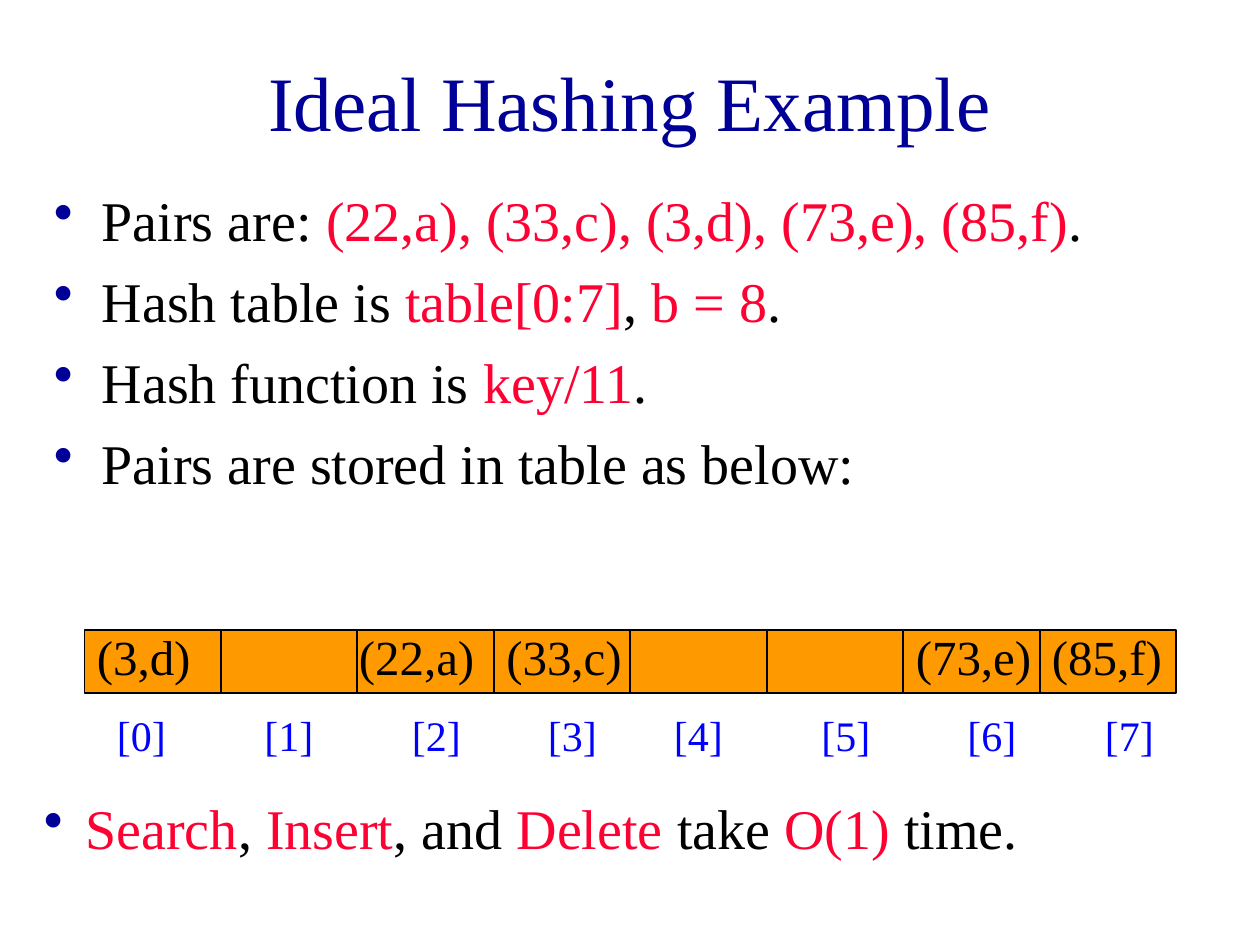
from lxml import etree
from pptx import Presentation
from pptx.dml.color import RGBColor
from pptx.enum import shapes, text
from pptx.oxml import ns
from pptx.util import Inches, Pt

BLACK = RGBColor(0, 0, 0)
NAVY = RGBColor(0x00, 0x00, 0x99)
BLUE = RGBColor(0x00, 0x00, 0xFF)
RED = RGBColor(0xFF, 0x00, 0x33)
ORANGE = RGBColor(0xFF, 0x99, 0x00)
FONT = "Times New Roman"

presentation = Presentation()
presentation.slide_width = Inches(10)
presentation.slide_height = Inches(7.5)
slide = presentation.slides.add_slide(presentation.slide_layouts[6])


def add_bullet(paragraph, indent):
    properties = paragraph._p.get_or_add_pPr()
    properties.set("marL", str(Inches(indent)))
    properties.set("indent", str(-Inches(indent)))
    color = etree.SubElement(properties, ns.qn("a:buClr"))
    etree.SubElement(color, ns.qn("a:srgbClr"), val=str(NAVY))
    etree.SubElement(properties, ns.qn("a:buChar"), char="•")


def add_text(paragraphs, left, top, width, height, size, color=BLACK,
             align=text.PP_ALIGN.LEFT, anchor=text.MSO_ANCHOR.TOP,
             indent=None, gap=0):
    """Each paragraph is a string; parts between | marks are red."""
    box = slide.shapes.add_textbox(
        Inches(left), Inches(top), Inches(width), Inches(height))
    frame = box.text_frame
    frame.word_wrap = True
    frame.vertical_anchor = anchor
    for index, content in enumerate(paragraphs):
        paragraph = frame.add_paragraph() if index else frame.paragraphs[0]
        paragraph.alignment = align
        if indent:
            add_bullet(paragraph, indent)
        if index:
            paragraph.space_before = Pt(gap)
        for part_index, part in enumerate(content.split("|")):
            if part:
                run = paragraph.add_run()
                run.text = part
                run.font.name = FONT
                run.font.size = Pt(size)
                run.font.color.rgb = RED if part_index % 2 else color


# Hash table cells
CELL_WIDTH = 13 / 12
for slot in range(8):
    cell = slide.shapes.add_shape(
        shapes.MSO_SHAPE.RECTANGLE, Inches(0.67 + slot * CELL_WIDTH),
        Inches(5), Inches(CELL_WIDTH), Inches(0.5))
    cell.shadow.inherit = False
    cell.fill.solid()
    cell.fill.fore_color.rgb = ORANGE
    cell.line.color.rgb = BLACK
    cell.line.width = Pt(1)

# Slot indices under the cells
for slot, left in enumerate([0.83, 2, 3.17, 4.25, 5.25, 6.42, 7.58, 8.67]):
    add_text([f"[{slot}]"], left, 5.58, 0.75, 0.5, 24, color=BLUE)

# Title
add_text(["Ideal Hashing Example"], 0.75, 0.17, 8.5, 1.25, 44, color=NAVY,
         align=text.PP_ALIGN.CENTER, anchor=text.MSO_ANCHOR.MIDDLE)

# Setup of the example
add_text([
    "Pairs are: |(22,a), (33,c), (3,d), (73,e), (85,f)|.",
    "Hash table is| table[0:7]|, |b = 8|.",
    "Hash function is| key/11|.",
    "Pairs are stored in table as below:",
], 0.33, 1.42, 9.33, 2.83, 32, indent=0.38, gap=8)

# Stored pairs
for pair, left in [("(3,d)", 0.67), ("(22,a)", 2.75), ("(33,c)", 3.92),
                   ("(73,e)", 7.17), ("(85,f)", 8.25)]:
    add_text([pair], left, 4.92, 1.33, 0.57, 28)

# Conclusion
add_text(["|Search|, |Insert|, and |Delete| take |O(1) |time."],
         0.25, 6.25, 9.75, 0.64, 32, indent=0.33)

presentation.save("out.pptx")
